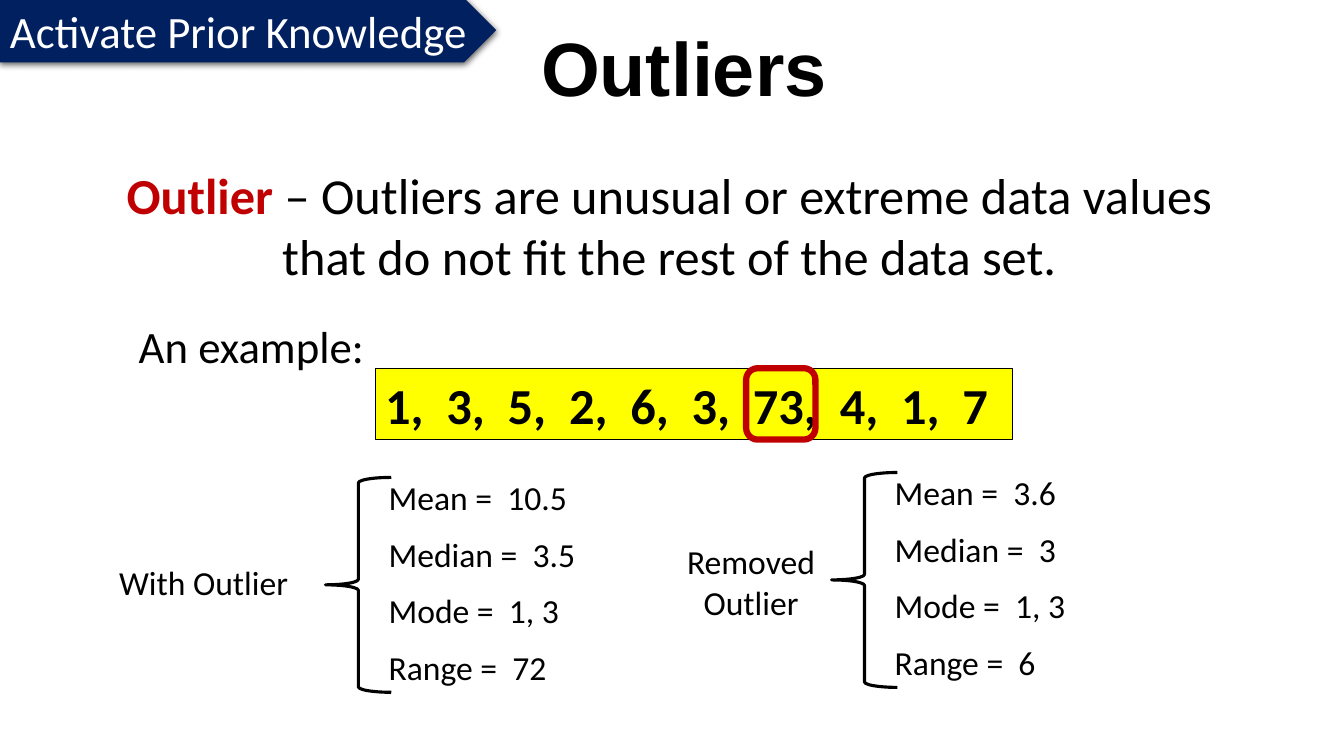
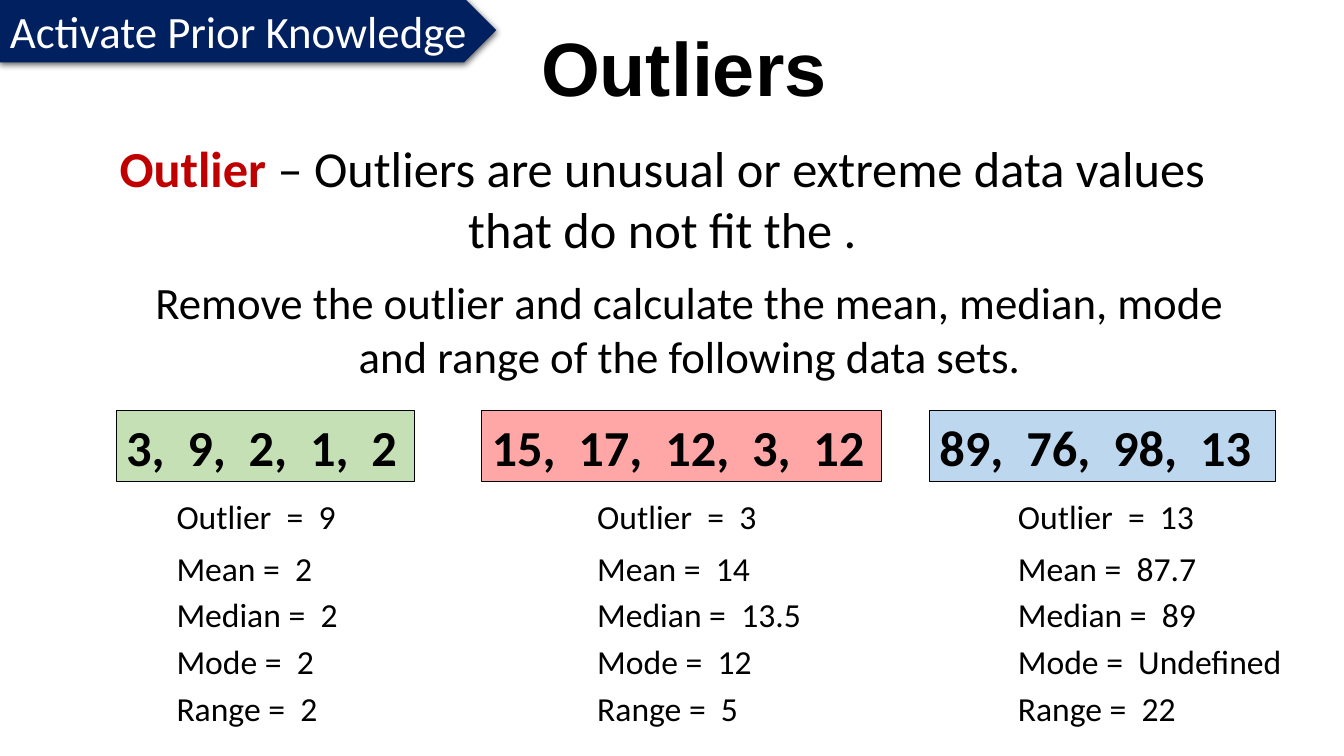
from lxml.etree import SubElement
from pptx import Presentation
from pptx.dml.color import RGBColor
from pptx.enum.shapes import MSO_SHAPE
from pptx.enum.text import MSO_ANCHOR, PP_ALIGN
from pptx.oxml.ns import qn
from pptx.util import Pt

BLACK = RGBColor(0x00, 0x00, 0x00)
WHITE = RGBColor(0xFF, 0xFF, 0xFF)
NAVY = RGBColor(0x00, 0x20, 0x60)
RED = RGBColor(0xC0, 0x00, 0x00)
YELLOW = RGBColor(0xFF, 0xFF, 0x00)
GREEN = RGBColor(0xC5, 0xE0, 0xB4)
PINK = RGBColor(0xFF, 0xA7, 0xA7)
BLUE = RGBColor(0xBD, 0xD7, 0xEE)

BANNER = "Activate Prior Knowledge"
TITLE = "Outliers"
TERM = "Outlier "
MEANING = "– Outliers are unusual or extreme data values that do not fit the "
TASK = "Remove the outlier and calculate the mean, median, mode and range of the following data sets."
MEASURES = ("Mean", "Median", "Mode", "Range")

EXAMPLE = (1, 3, 5, 2, 6, 3, 73, 4, 1, 7)
COMPARISONS = [
    {"left": 232.5, "top": 337, "label": "With Outlier", "label_at": (78, 397.5, 185.5, 36),
     "align": PP_ALIGN.LEFT, "results": ("10.5", "3.5", "1, 3", "72")},
    {"left": 594, "top": 333.5, "label": "Removed Outlier", "label_at": (472.5, 383, 128, 65.5),
     "align": PP_ALIGN.CENTER, "results": ("3.6", "3", "1, 3", "6")},
]
EXERCISES = [
    {"left": 83, "width": 213, "fill": GREEN, "data": (3, 9, 2, 1, 2),
     "outlier": 9, "results": ("2", "2", "2", "2")},
    {"left": 344, "width": 286, "fill": PINK, "data": (15, 17, 12, 3, 12),
     "outlier": 3, "results": ("14", "13.5", "12", "5")},
    {"left": 664, "width": 247, "fill": BLUE, "data": (89, 76, 98, 13),
     "outlier": 13, "results": ("87.7", "89", "Undefined", "22")},
]

STAT_SIZE = 24
DATA_SIZE = 36
SPACE_WIDTH = 0.226
COMPARISON_PITCH = 40.5
EXERCISE_PITCH = 33.5
COLUMN_LEFT, COLUMN_PITCH = 119, 300.5


def style(span, size, color=BLACK, bold=False, name="Calibri"):
    span.font.size = Pt(size)
    span.font.color.rgb = color
    span.font.bold = bold
    span.font.name = name


def add_text(page, at, text, size, align=PP_ALIGN.LEFT, **look):
    box = page.shapes.add_textbox(*map(Pt, at))
    box.text_frame.word_wrap = True
    para = box.text_frame.paragraphs[0]
    para.text = text
    para.alignment = align
    for span in para.runs:
        style(span, size, **look)
    return para


def add_shape(page, kind, at, fill=None, line=None, weight=0.75):
    shape = page.shapes.add_shape(kind, *map(Pt, at))
    shape.shadow.inherit = False
    if fill is None:
        shape.fill.background()
    else:
        shape.fill.solid()
        shape.fill.fore_color.rgb = fill
    if line is None:
        shape.line.fill.background()
    else:
        shape.line.color.rgb = line
        shape.line.width = Pt(weight)
    return shape


def write_spaced(para, words, size, bold=False):
    """Write words with a space of double width between them."""
    for index, word in enumerate(words):
        if index:
            gap = para.add_run()
            gap.text = " "
            style(gap, size, bold=bold)
            gap.font._element.set("spc", str(round(SPACE_WIDTH * size * 100)))
        span = para.add_run()
        span.text = word
        style(span, size, bold=bold)


def add_stat(page, left, top, words):
    para = add_text(page, (left, top, 223, 36), "", STAT_SIZE)
    write_spaced(para, words, STAT_SIZE)


def add_measures(page, left, top, pitch, results):
    for row, (measure, result) in enumerate(zip(MEASURES, results)):
        add_stat(page, left, top + row * pitch, (f"{measure} =", result))


def add_data(page, left, top, width, fill, numbers):
    box = add_shape(page, MSO_SHAPE.RECTANGLE, (left, top, width, 51), fill, BLACK)
    para = box.text_frame.paragraphs[0]
    para.alignment = PP_ALIGN.LEFT
    words = [f"{number}," for number in numbers[:-1]] + [str(numbers[-1])]
    write_spaced(para, words, DATA_SIZE, bold=True)


def add_definition(page, left, top, ending):
    para = add_text(page, (left, top, 855.5, 94.5), TERM, 36, PP_ALIGN.CENTER, color=RED, bold=True)
    span = para.add_run()
    span.text = MEANING + ending
    style(span, 36)


def add_heading(page):
    title = add_text(page, (335.5, 18.5, 306, 104.5), TITLE, 54, PP_ALIGN.CENTER, bold=True, name="Arial")
    title.line_spacing = 0.9
    banner = add_shape(page, MSO_SHAPE.PENTAGON, (0, -1.5, 354.5, 46), NAVY)
    effects = banner._element.spPr.find(qn("a:effectLst"))
    shadow = SubElement(effects, qn("a:outerShdw"), blurRad=str(Pt(4.5)), dist=str(Pt(1.5)),
                        dir="5400000", algn="t", rotWithShape="0")
    color = SubElement(shadow, qn("a:srgbClr"), val=str(BLACK))
    SubElement(color, qn("a:alpha"), val="63000")
    frame = banner.text_frame
    frame.word_wrap = False
    frame.vertical_anchor = MSO_ANCHOR.MIDDLE
    para = frame.paragraphs[0]
    para.text = BANNER
    para.alignment = PP_ALIGN.LEFT
    style(para.runs[0], 32, WHITE)


def build_example(page):
    add_data(page, 268, 263, 455.5, YELLOW, EXAMPLE)
    add_definition(page, 50.5, 114, "rest of the data set.")
    add_text(page, (92, 224, 179, 46), "An example:", 32)
    add_shape(page, MSO_SHAPE.ROUNDED_RECTANGLE, (533, 263, 49.5, 51), line=RED, weight=4.5)
    for group in COMPARISONS:
        left, top = group["left"], group["top"]
        add_text(page, group["label_at"], group["label"], STAT_SIZE, group["align"])
        add_shape(page, MSO_SHAPE.LEFT_BRACE, (left, top + 4, 47, 153.5), line=BLACK, weight=2.25)
        add_measures(page, left + 38, top, COMPARISON_PITCH, group["results"])
    add_heading(page)


def build_exercises(page):
    add_definition(page, 45.5, 94.5, ".")
    add_text(page, (84.5, 193, 816.5, 85), TASK, 32, PP_ALIGN.CENTER)
    for column, group in enumerate(EXERCISES):
        add_data(page, group["left"], 293, group["width"], group["fill"], group["data"])
        left = COLUMN_LEFT + column * COLUMN_PITCH
        add_stat(page, left, 350.5, ("Outlier", "=", str(group["outlier"])))
        add_measures(page, left, 387.5, EXERCISE_PITCH, group["results"])
    add_heading(page)


def main():
    deck = Presentation()
    deck.slide_width, deck.slide_height = Pt(960), Pt(540)
    for build in (build_example, build_exercises):
        build(deck.slides.add_slide(deck.slide_layouts[6]))
    deck.save("out.pptx")


if __name__ == "__main__":
    main()
